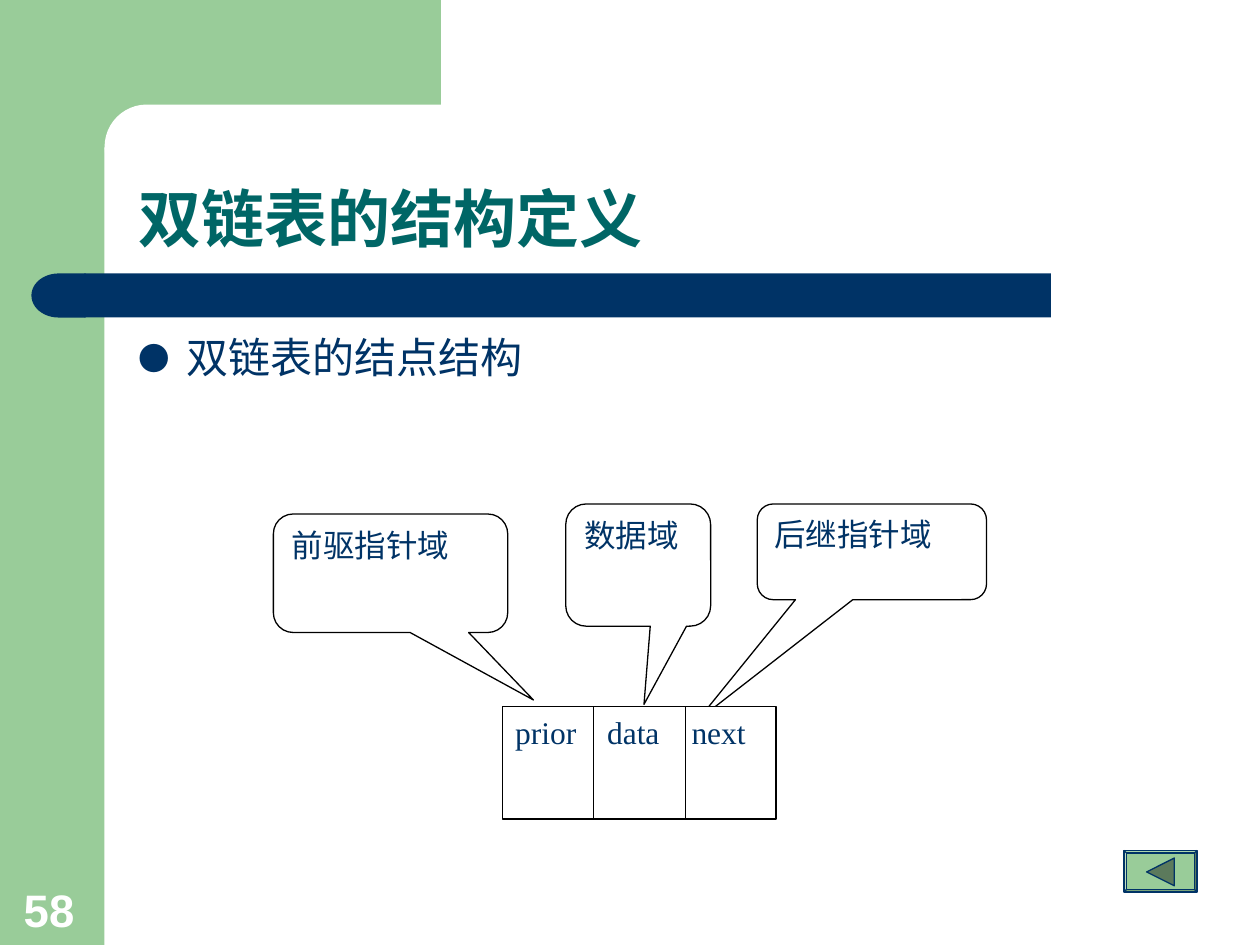
from lxml import etree
from pptx import Presentation
from pptx import util as u
from pptx.dml.color import RGBColor
from pptx.enum import shapes, text
from pptx.oxml import ns

SCALE = 9144
NAVY, GREEN, TEAL = "003366", "99CC99", "006666"
WHITE, BLACK = "FFFFFF", "000000"
SANS, SERIF = "Noto Sans CJK SC", "Times New Roman"
KIND = shapes.MSO_SHAPE
LEFT, JUST = text.PP_ALIGN.LEFT, text.PP_ALIGN.JUSTIFY
TOP, LOW = text.MSO_ANCHOR.TOP, text.MSO_ANCHOR.BOTTOM


def px(*vals):
    """Turn px (100 to the inch) into EMU."""
    return [u.Emu(v * SCALE) for v in vals]


def tint(code):
    """Return the colour of a hex string."""
    return RGBColor.from_string(code)


def sub(node, tag, **attrs):
    """Append a DrawingML child with attributes."""
    child = etree.SubElement(node, ns.qn("a:" + tag))
    for key, val in attrs.items():
        child.set(key, str(val))
    return child


def write(shape, words, size=18, font=SERIF, color=NAVY, bold=False,
          align=JUST, anchor=TOP, lead=None, dot=None, tabs=()):
    """Fill a shape with one formatted paragraph."""
    frame = shape.text_frame
    frame.word_wrap = True
    frame.auto_size = text.MSO_AUTO_SIZE.NONE
    frame.vertical_anchor = anchor
    para = frame.paragraphs[0]
    para.alignment = align
    para.space_before = u.Pt(0)
    if lead:
        para.line_spacing = lead
    prop = para._p.get_or_add_pPr()
    if dot:
        prop.set("marL", str(px(38)[0]))
        prop.set("indent", str(px(-38)[0]))
        sub(sub(prop, "buClr"), "srgbClr", val=color)
        sub(prop, "buSzPct", val=75000)
        sub(prop, "buFont", typeface=SANS)
        sub(prop, "buChar", char=dot)
    if tabs:
        stops = sub(prop, "tabLst")
        for pos in px(*tabs):
            sub(stops, "tab", pos=pos, algn="l")
    run = para.add_run()
    run.text = words
    run.font.size = u.Pt(size)
    run.font.name = font
    run.font.bold = bold
    run.font.color.rgb = tint(color)
    east = SANS if font == SERIF else font
    sub(run._r.get_or_add_rPr(), "ea", typeface=east)


def draw(slide, kind, box, fill, line=None, adjs=()):
    """Add a flat preset shape."""
    shape = slide.shapes.add_shape(kind, *px(*box))
    shape.shadow.inherit = False
    shape.fill.solid()
    shape.fill.fore_color.rgb = tint(fill)
    if line:
        shape.line.color.rgb = tint(line)
        shape.line.width = u.Pt(0.75)
    else:
        shape.line.fill.background()
    for i, val in enumerate(adjs):
        shape.adjustments[i] = val
    return shape


def rule(slide, x, top, end):
    """Add a thin upright line."""
    line = slide.shapes.add_connector(
        shapes.MSO_CONNECTOR.STRAIGHT, *px(x, top, x, end))
    line.line.color.rgb = tint(BLACK)
    line.line.width = u.Pt(0.75)
    sub(line._element.spPr, "effectLst")


def frame(slide, wide, high):
    """Draw the green corner and side band."""
    draw(slide, KIND.RECTANGLE, (0, 0, 83, high), GREEN)
    draw(slide, KIND.RECTANGLE, (75, 0, wide * 11 // 40, 117), GREEN)
    draw(slide, KIND.ROUNDED_RECTANGLE, (83, 83, 558, 67), WHITE, adjs=[0.5])


def bar(slide, x, y, wide, high):
    """Draw the navy bar with its round left end."""
    draw(slide, KIND.RECTANGLE, (x + 42, y, wide - 42, high), NAVY)
    cap = draw(slide, KIND.FLOWCHART_DELAY, (x, y, 43, high), NAVY)
    cap._element.spPr.xfrm.set("flipH", "1")


def number(slide, box, words):
    """Write the slide number."""
    label = slide.shapes.add_textbox(*px(*box))
    write(label, words, size=26, font="Arial", color=WHITE, bold=True,
          align=LEFT, anchor=LOW)


def holder(slide, index, box, words, **form):
    """Place and fill a placeholder above the frame."""
    item = slide.placeholders[index]
    item.left, item.top, item.width, item.height = px(*box)
    slide.shapes._spTree.append(item._element)
    write(item, words, **form)


def callout(slide, box, words, tip):
    """Draw a speech bubble whose tail ends at tip."""
    bubble = draw(slide, KIND.ROUNDED_RECTANGULAR_CALLOUT, box, WHITE, BLACK,
                  adjs=(*tip, 0.167))
    write(bubble, words)


def node(slide, x, y, wide, high):
    """Draw the three-field list node."""
    cell = draw(slide, KIND.RECTANGLE, (x, y, wide, high), WHITE, BLACK)
    write(cell, "prior\tdata\tnext", align=LEFT, tabs=(73, 140))
    for i in (1, 2):
        rule(slide, x + round(wide * i / 3), y, y + high)


def diagram(slide, x, y):
    """Draw the node with its three callouts."""
    callout(slide, (x + 384, y, 182, 76), "后继指针域", (-0.76, 1.76))
    node(slide, x + 182, y + 161, 217, 89)
    callout(slide, (x, y + 8, 186, 94), "前驱指针域", (0.61, 1.07))
    callout(slide, (x + 232, y, 115, 97), "数据域", (0.04, 1.14))


def button(slide, x, y, wide, high):
    """Draw the bevelled back button."""
    draw(slide, KIND.BEVEL, (x, y, wide, high), GREEN, NAVY, adjs=[0.06])
    arrow = draw(slide, KIND.ISOSCELES_TRIANGLE, (x + 18, y + 6, 22, 22),
                 "5C7A5C", NAVY)
    arrow.rotation = 270


def main():
    """Build the slide and save it."""
    deck = Presentation()
    deck.slide_width, deck.slide_height = px(1000, 750)
    slide = deck.slides.add_slide(deck.slide_layouts[1])
    frame(slide, 1000, 750)
    bar(slide, 25, 217, 809, 35)
    number(slide, (9, 694, 64, 54), "58")
    holder(slide, 0, (100, 83, 875, 125), "双链表的结构定义", size=36,
           font=SANS, color=TEAL, bold=True, align=LEFT, anchor=LOW, lead=0.9)
    holder(slide, 1, (100, 258, 875, 408), "双链表的结点结构", size=24,
           font=SANS, dot="●")
    diagram(slide, 217, 400)
    button(slide, 892, 675, 58, 33)
    deck.save("out.pptx")


if __name__ == "__main__":
    main()
